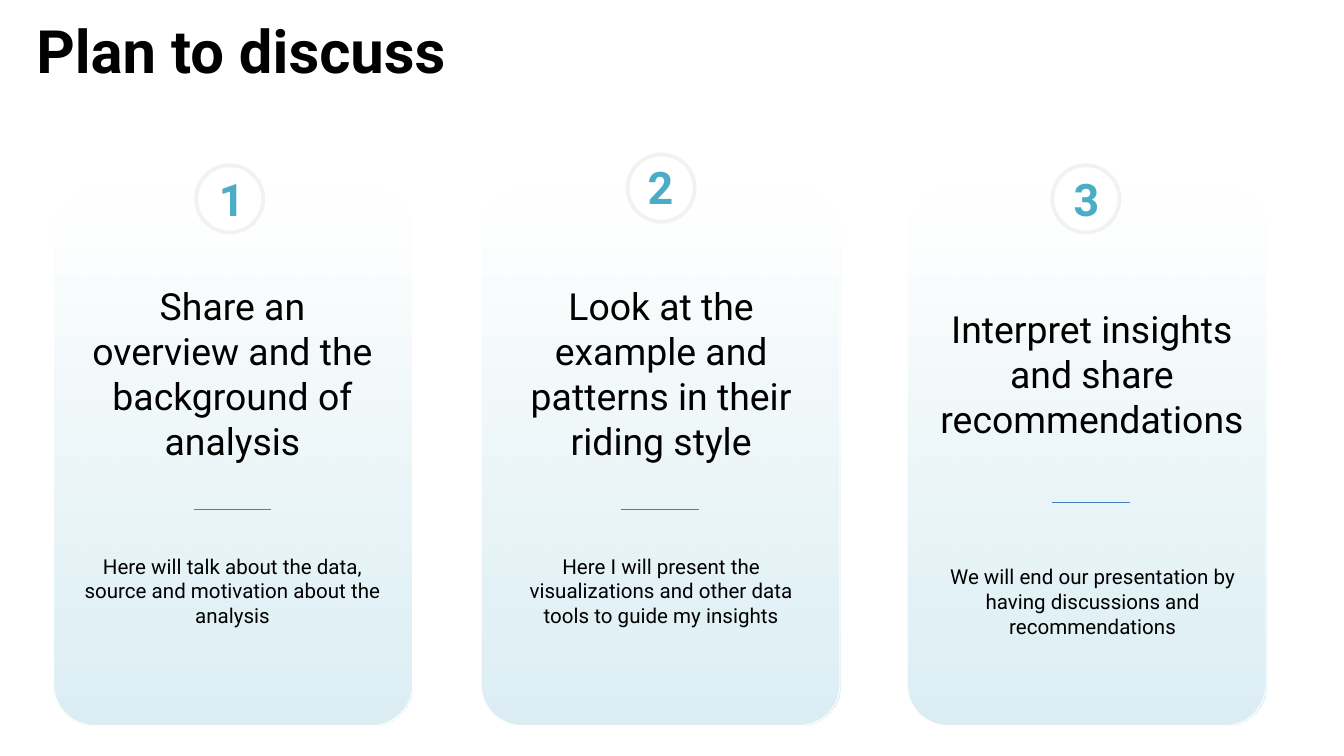
from dataclasses import dataclass

from lxml.etree import SubElement
from pptx import Presentation
from pptx.dml.color import RGBColor as RGB
from pptx.enum.shapes import MSO_CONNECTOR as CONN, MSO_SHAPE as SHAPE
from pptx.enum.text import MSO_ANCHOR as ANCHOR, MSO_AUTO_SIZE as FIT, PP_ALIGN as ALIGN
from pptx.oxml.ns import qn
from pptx.util import Inches, Pt


@dataclass(frozen=True)
class Theme:
    font: str = "Roboto"
    text: str = "000000"
    accent: str = "4BACC6"
    tint: str = "DBEEF4"
    white: str = "FFFFFF"
    ring: str = "F2F2F2"
    rule: str = "4B7EBC"
    title: int = 32
    number: int = 24
    heading: int = 20
    body: int = 11


class Deck:
    """Draws styled elements on the current slide."""

    def __init__(self, prs, theme):
        self.theme = theme
        self.s = prs.slides.add_slide(prs.slide_layouts[5])

    def run(self, p, text, size, color, bold=False):
        r = p.add_run()
        r.text = text
        r.font.name = self.theme.font
        r.font.size = Pt(size)
        r.font.bold = bold
        r.font.color.rgb = RGB.from_string(color)

    def title(self, text, x, y, w, h):
        sp = self.s.shapes.title
        sp.left, sp.top, sp.width, sp.height = map(Inches, (x, y, w, h))
        tf = sp.text_frame
        tf.auto_size = FIT.NONE
        tf.vertical_anchor = ANCHOR.MIDDLE
        p = tf.paragraphs[0]
        p.alignment = ALIGN.LEFT
        self.run(p, text, self.theme.title, self.theme.text, True)

    def shape(self, kind, x, y, w, h, line, width):
        sp = self.s.shapes.add_shape(kind, *map(Inches, (x, y, w, h)))
        sp.shadow.inherit = False
        sp.line.color.rgb = RGB.from_string(line)
        sp.line.width = Pt(width)
        return sp

    def card(self, x, y, w, h):
        sp = self.shape(SHAPE.ROUNDED_RECTANGLE, x, y, w, h, self.theme.white, 0.5)
        sp.adjustments[0] = 0.115
        sp.fill.gradient()
        sp.fill.gradient_angle = 90
        stops = sp.fill.gradient_stops
        for stop, pos, color in zip(stops, (0, 1), (self.theme.tint, self.theme.white)):
            stop.position = pos
            stop.color.rgb = RGB.from_string(color)
        tint = next(sp._element.spPr.iter(qn("a:srgbClr")))
        SubElement(tint, qn("a:alpha"), val="96000")

    def ring(self, x, y, d):
        sp = self.shape(SHAPE.OVAL, x, y, d, d, self.theme.ring, 2)
        sp.fill.solid()
        sp.fill.fore_color.rgb = RGB.from_string(self.theme.white)

    def box(self, x, y, w, h, wrap=True):
        tf = self.s.shapes.add_textbox(*map(Inches, (x, y, w, h))).text_frame
        tf.word_wrap = wrap
        tf.auto_size = FIT.SHAPE_TO_FIT_TEXT
        return tf

    def number(self, text, x, y, w, h):
        tf = self.box(x, y, w, h, wrap=False)
        tf.vertical_anchor = ANCHOR.BOTTOM
        self.run(tf.paragraphs[0], text, self.theme.number, self.theme.accent, True)

    def text(self, text, size, x, y, w, h):
        p = self.box(x, y, w, h).paragraphs[0]
        p.alignment = ALIGN.CENTER
        self.run(p, text, size, self.theme.text)

    def rule(self, x, y, w):
        c = self.s.shapes.add_connector(CONN.STRAIGHT, *map(Inches, (x, y, x + w, y)))
        c.line.color.rgb = RGB.from_string(self.theme.rule)
        c.line.width = Pt(0.75)
        SubElement(c._element.spPr, qn("a:effectLst"))


@dataclass(frozen=True)
class Step:
    heading: str
    detail: str
    card_x: float
    ring: tuple
    number: tuple
    heading_at: tuple
    rule: tuple
    detail_at: tuple


STEPS = [
    Step("Share an overview and the background of analysis",
         "Here will talk about the data, source and motivation about the analysis",
         0.4, (1.46, 1.23), (1.53, 1.23, 0.35), (0.52, 2.06, 2.42, 1.45),
         (1.44, 3.79), (0.52, 4.07)),
    Step("Look at the example and patterns in their riding style",
         "Here I will present the visualizations and other data tools to guide my insights",
         3.58, (4.67, 1.15), (4.72, 1.14, 0.39), (3.71, 2.06, 2.42, 1.45),
         (4.62, 3.79), (3.71, 4.07)),
    Step("Interpret insights and share recommendations",
         "We will end our presentation by having discussions and recommendations",
         6.75, (7.83, 1.23), (7.89, 1.23, 0.39), (6.79, 2.23, 2.67, 1.11),
         (7.83, 3.74), (6.92, 4.15)),
]


def main():
    prs = Presentation()
    prs.slide_width = Inches(10)
    prs.slide_height = prs.slide_width * 9 // 16
    theme = Theme()
    deck = Deck(prs, theme)
    deck.title("Plan to discuss", 0.17, -0.1, 9, 0.94)
    for step in STEPS:
        deck.card(step.card_x, 1.4, 2.67, 4)
    for n, step in enumerate(STEPS, 1):
        deck.ring(*step.ring, 0.5)
        deck.number(str(n), *step.number, 0.5)
        deck.text(step.heading, theme.heading, *step.heading_at)
        deck.rule(*step.rule, 0.58)
        deck.text(step.detail, theme.body, *step.detail_at, 2.42, 0.66)
    prs.save("out.pptx")


if __name__ == "__main__":
    main()
